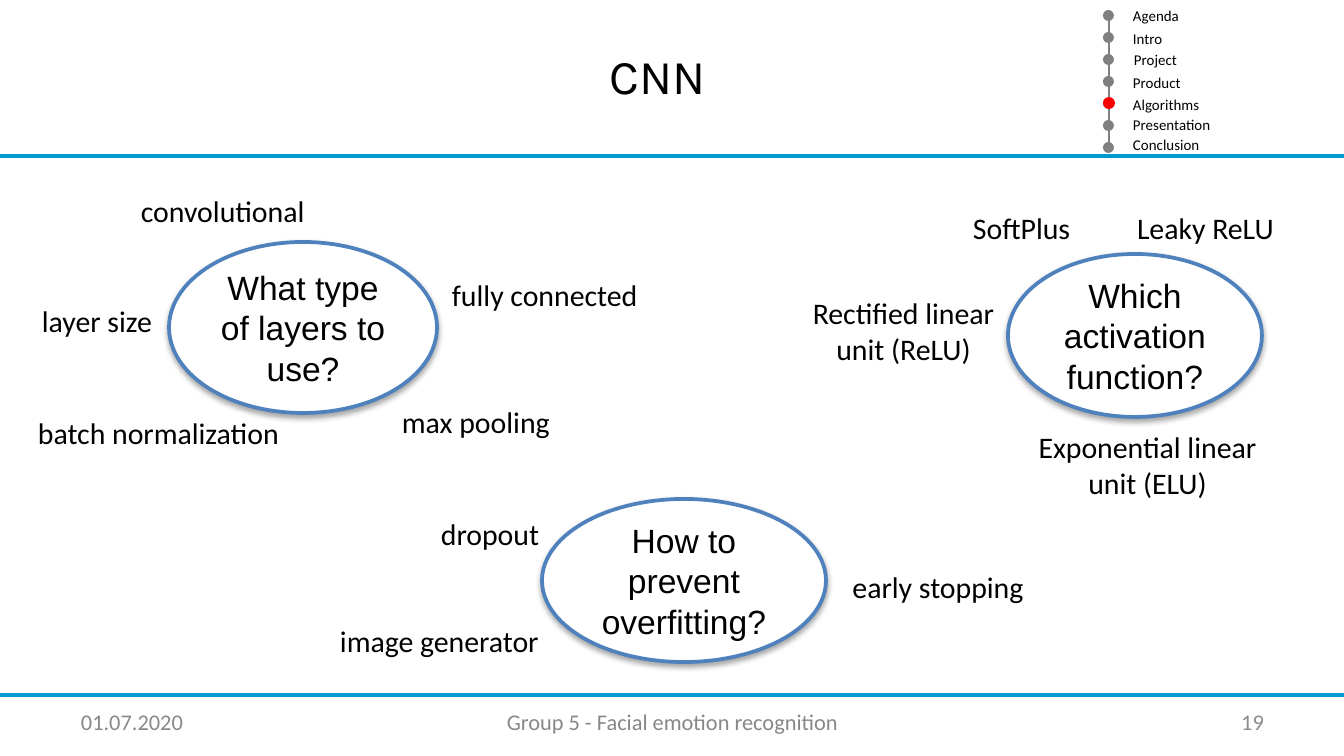
"""Build the CNN slide: three design questions surrounded by possible answers."""
from dataclasses import dataclass

from lxml.etree import SubElement
from pptx import Presentation
from pptx.dml.color import RGBColor
from pptx.enum.shapes import MSO_CONNECTOR, MSO_SHAPE
from pptx.enum.text import MSO_ANCHOR, MSO_AUTO_SIZE, PP_ALIGN
from pptx.oxml.ns import qn
from pptx.util import Emu, Pt


@dataclass(frozen=True)
class Theme:
    black: RGBColor = RGBColor.from_string("000000")
    white: RGBColor = RGBColor.from_string("FFFFFF")
    gray: RGBColor = RGBColor.from_string("808080")
    footer: RGBColor = RGBColor.from_string("888888")
    number: RGBColor = RGBColor.from_string("8C8C8C")
    red: RGBColor = RGBColor.from_string("FF0000")
    rule: RGBColor = RGBColor.from_string("009CD1")
    outline: RGBColor = RGBColor.from_string("4F81BD")
    title_size: int = 26
    question_size: int = 18
    answer_size: int = 16
    footer_size: int = 12
    agenda_size: int = 8


theme = Theme()
LEFT, CENTER, RIGHT = PP_ALIGN.LEFT, PP_ALIGN.CENTER, PP_ALIGN.RIGHT
TOP, MIDDLE = MSO_ANCHOR.TOP, MSO_ANCHOR.MIDDLE


def px(*lengths):
    return [Emu(round(length * 914400 / 134.4)) for length in lengths]


def write(box, text, *, size, font="Calibri", color=theme.black, align=LEFT,
          anchor=TOP, wrap=True, grow=False, side=7, before=0):
    frame = box.text_frame
    frame.word_wrap = wrap
    frame.auto_size = MSO_AUTO_SIZE.SHAPE_TO_FIT_TEXT if grow else MSO_AUTO_SIZE.NONE
    frame.vertical_anchor = anchor
    frame.margin_left, frame.margin_right = px(side, side)
    frame.margin_top, frame.margin_bottom = px(7, 7)
    para = frame.paragraphs[0]
    para.alignment = align
    para.space_before = Pt(before)
    span = para.add_run()
    span.text = text
    span.font.name = font
    span.font.size = Pt(size)
    span.font.color.rgb = color


deck = Presentation()
deck.slide_width, deck.slide_height = px(1344, 756)
page = deck.slides.add_slide(deck.slide_layouts[5])
shapes = page.shapes

title = shapes.title
title.left, title.top, title.width, title.height = px(31, 39, 1254, 74)
write(title, "CNN", size=theme.title_size, font="Karla", align=CENTER,
      side=13, before=6)

for start_x, start_y, end_x, end_y, color, weight in [
    (1109, 16, 1109, 148, theme.gray, 1),
    (0, 156, 1344, 156, theme.rule, 2),
    (0, 695, 1344, 695, theme.rule, 2),
]:
    line = shapes.add_connector(MSO_CONNECTOR.STRAIGHT,
                                *px(start_x, start_y, end_x, end_y))
    line.line.color.rgb = color
    line.line.width = Pt(weight)
    SubElement(line._element.spPr, qn("a:effectLst"))

dots = [(1103, 10 + 22 * step, 11, theme.gray) for step in range(7)]
dots.append((1103, 97, 12, theme.red))
for left, top, size, color in dots:
    dot = shapes.add_shape(MSO_SHAPE.OVAL, *px(left, top, size, size))
    dot.shadow.inherit = False
    dot.fill.solid()
    dot.fill.fore_color.rgb = color
    dot.line.fill.background()

for label, left, top in [
    ("Agenda", 1126, 0),
    ("Intro", 1126, 23),
    ("Project", 1127, 44),
    ("Product", 1126, 67),
    ("Algorithms", 1126, 89),
    ("Presentation", 1126, 109),
    ("Conclusion", 1126, 129),
]:
    box = shapes.add_textbox(*px(left, top, 161, 32))
    write(box, label, size=theme.agenda_size, grow=True)

for text, left, width, align, color, side in [
    ("01.07.2020", 74, 300, LEFT, theme.footer, 7),
    ("Group 5 - Facial emotion recognition", 466, 413, CENTER, theme.footer, 7),
    ("19", 1063, 214, RIGHT, theme.number, 13),
]:
    box = shapes.add_textbox(*px(left, 702, width, 39))
    write(box, text, size=theme.footer_size, color=color, align=align,
          anchor=MIDDLE, side=side)

for question, left, top, width, height in [
    ("What type of layers to use?", 169, 242, 268, 171),
    ("Which activation function?", 1008, 254, 254, 163),
    ("How to prevent overfitting?", 542, 499, 284, 163),
]:
    oval = shapes.add_shape(MSO_SHAPE.OVAL, *px(left, top, width, height))
    oval.fill.solid()
    oval.fill.fore_color.rgb = theme.white
    oval.line.color.rgb = theme.outline
    oval.line.width = Pt(2)
    oval.shadow.inherit = False
    effects = oval._element.spPr.find(qn("a:effectLst"))
    shadow = SubElement(effects, qn("a:outerShdw"), blurRad=str(Pt(3)),
                        dist=str(Pt(1.8)), dir="5400000", rotWithShape="0")
    tint = SubElement(shadow, qn("a:srgbClr"), val=str(theme.black))
    SubElement(tint, qn("a:alpha"), val="35000")
    write(oval, question, size=theme.question_size, font="Arial",
          align=CENTER, anchor=MIDDLE)

for answer, left, top, width in [
    ("convolutional", 134, 186, 180),
    ("fully connected", 445, 270, 202),
    ("max pooling", 395, 397, 164),
    ("batch normalization", 31, 408, 257),
    ("layer size", 35, 296, 125),
    ("SoftPlus", 966, 203, 113),
    ("Leaky ReLU", 1130, 203, 152),
    ("dropout", 434, 509, 114),
    ("image generator", 333, 616, 215),
]:
    box = shapes.add_textbox(*px(left, top, width, 48))
    write(box, answer, size=theme.answer_size, wrap=False, grow=True)

for answer, left, top, width, height in [
    ("Rectified linear unit (ReLU)", 784, 288, 239, 85),
    ("Exponential linear unit (ELU)", 1012, 422, 271, 85),
    ("early stopping", 754, 562, 368, 48),
]:
    box = shapes.add_textbox(*px(left, top, width, height))
    write(box, answer, size=theme.answer_size, align=CENTER, grow=True)

deck.save("out.pptx")
